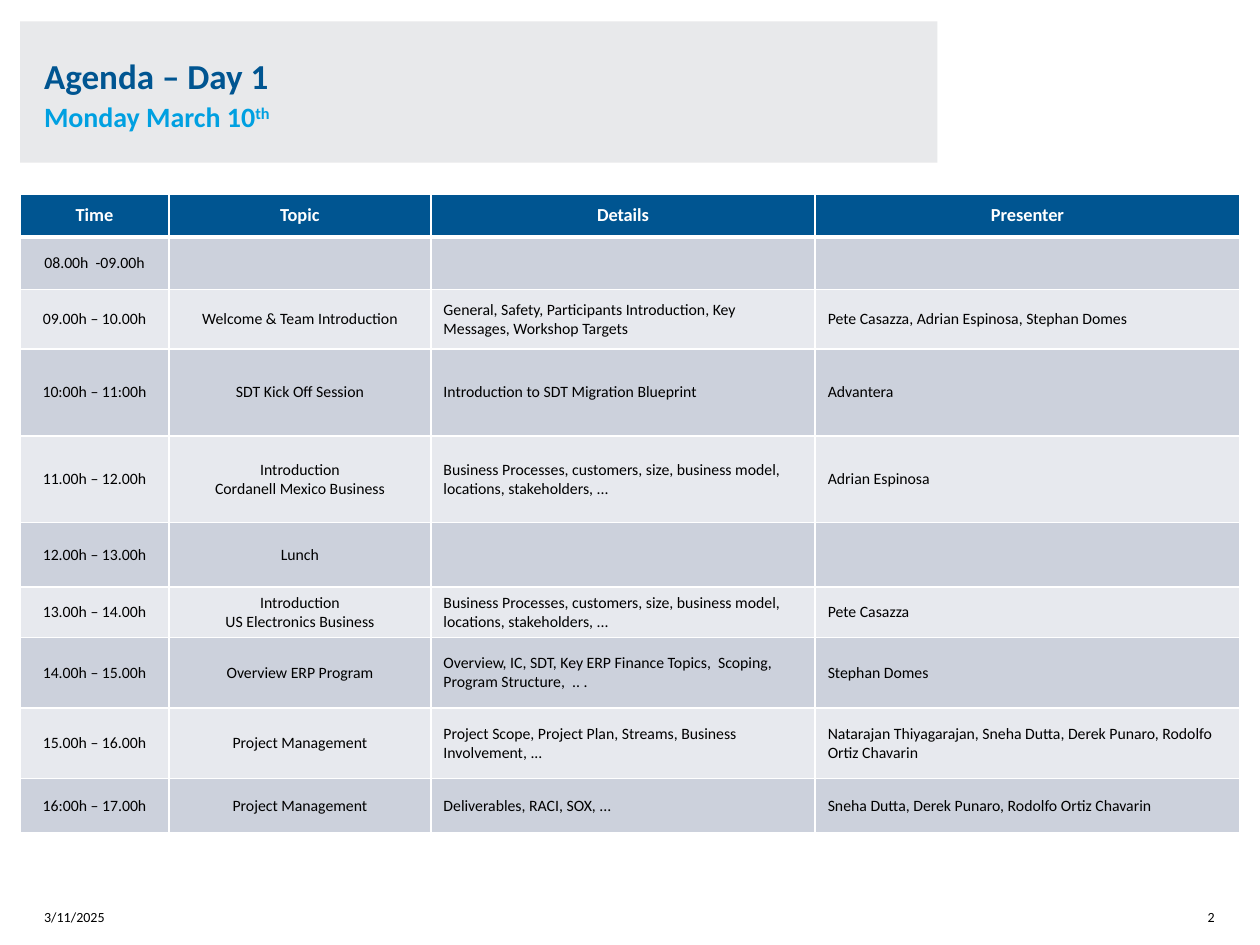
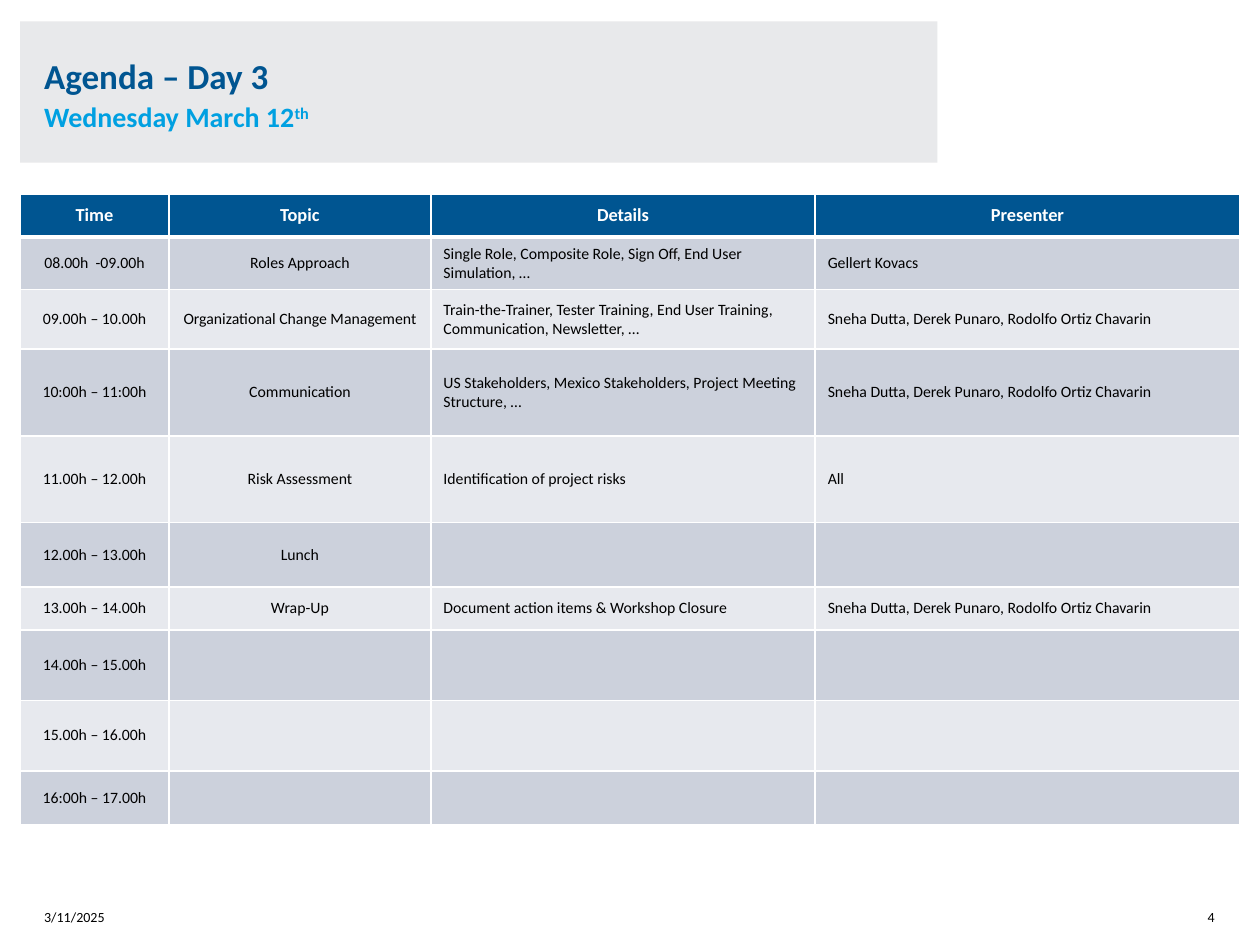
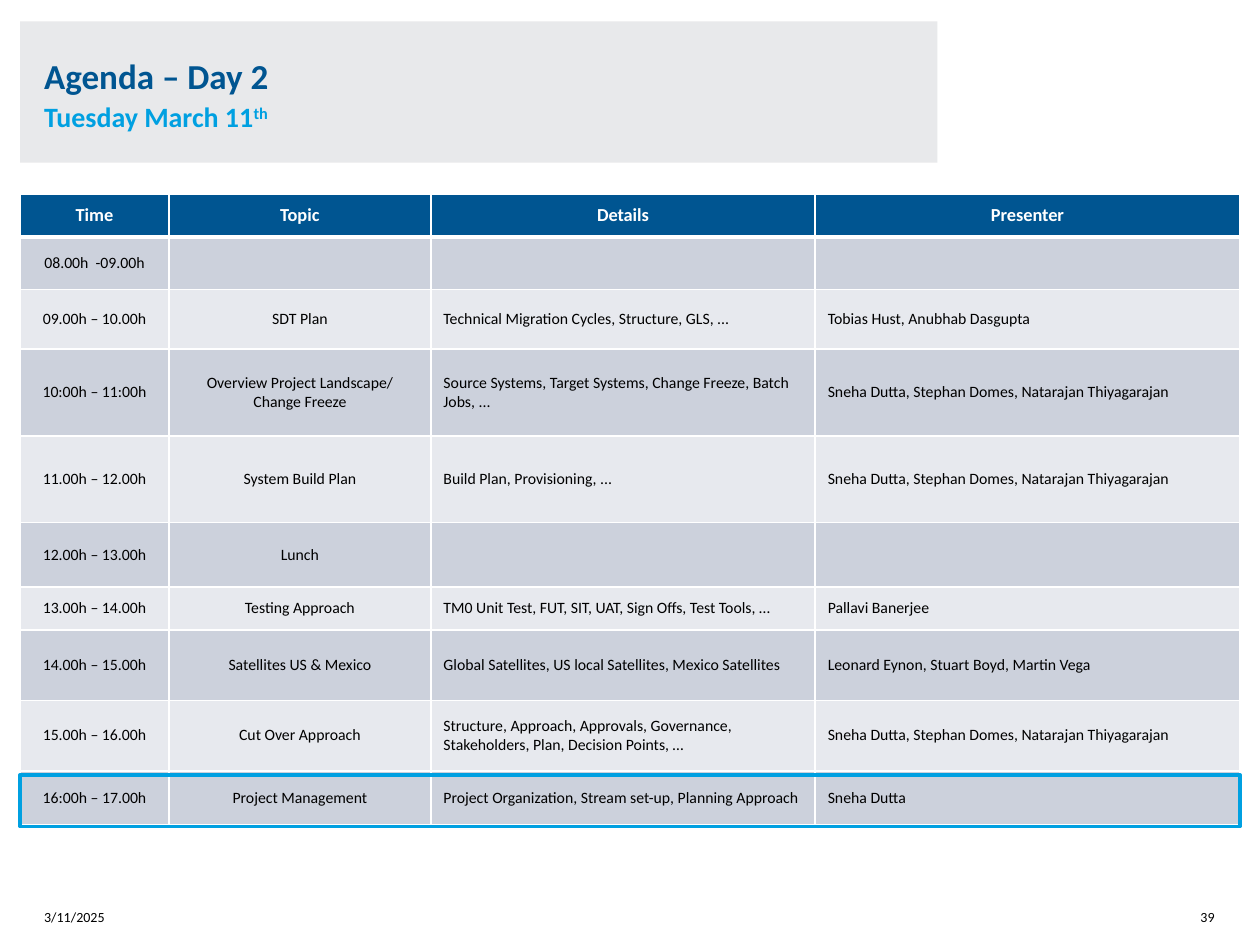
from pptx import Presentation
from pptx.dml.color import RGBColor
from pptx.enum.shapes import MSO_SHAPE as Shape
from pptx.enum.text import MSO_ANCHOR as Anchor, PP_ALIGN as Align
from pptx.oxml import parse_xml
from pptx.oxml.ns import nsdecls
from pptx.util import Inches, Pt

NAVY = RGBColor(0x00, 0x55, 0x91)
SKY = RGBColor(0x00, 0xA0, 0xE1)
MIST = RGBColor(0xE8, 0xE9, 0xEB)
DARK = RGBColor(0xCC, 0xD1, 0xDC)
PALE = RGBColor(0xE7, 0xE9, 0xEE)
WHITE = RGBColor(0xFF, 0xFF, 0xFF)
BLACK = RGBColor(0x00, 0x00, 0x00)

BAND = (0.16, 0.17, 7.28, 1.12)
GRID = (0.16, 1.54, 9.68, 5.02)
DATE = (0.35, 7.06, 0.79, 0.28)
PAGE = (9.25, 7.06, 0.39, 0.28)
MARK = (0.16, 6.15, 9.68, 0.41)

TITLE = {"size": Pt(20), "bold": True, "color": NAVY}
SUB = {"size": Pt(16), "bold": True, "color": SKY}
HEAD = {"size": Pt(10.5), "bold": True, "color": WHITE}
BODY = {"size": Pt(9), "bold": False, "color": BLACK}
FOOT = {"size": Pt(8), "bold": False, "color": BLACK}

COLS = (1.18, 2.08, 3.05, 3.37)
ROWS = (0.34, 0.42, 0.47, 0.69, 0.69, 0.51, 0.34, 0.56, 0.56, 0.43)
HEADS = ("Time", "Topic", "Details", "Presenter")
TIMES = ("08.00h  -09.00h", "09.00h – 10.00h", "10:00h – 11:00h",
         "11.00h – 12.00h", "12.00h – 13.00h", "13.00h – 14.00h",
         "14.00h – 15.00h", "15.00h – 16.00h", "16:00h – 17.00h")
NONE = ("", "", "")
LUNCH = ("Lunch", "", "")
FIRM = ("Business Processes, customers, size, business model, "
        "locations, stakeholders, ...")
CORE = "Sneha Dutta, Derek Punaro, Rodolfo Ortiz Chavarin"
TECH = "Sneha Dutta, Stephan Domes, Natarajan Thiyagarajan"

DAYS = (
    {"title": "Agenda – Day 1", "date": "Monday March 10", "page": "2", "mark": False,
     "plan": (
         NONE,
         ("Welcome & Team Introduction",
          "General, Safety, Participants Introduction, Key Messages, Workshop Targets",
          "Pete Casazza, Adrian Espinosa, Stephan Domes"),
         ("SDT Kick Off Session", "Introduction to SDT Migration Blueprint", "Advantera"),
         ("Introduction\nCordanell Mexico Business", FIRM, "Adrian Espinosa"),
         LUNCH,
         ("Introduction\nUS Electronics Business", FIRM, "Pete Casazza"),
         ("Overview ERP Program",
          "Overview, IC, SDT, Key ERP Finance Topics,  Scoping, Program Structure,  .. .",
          "Stephan Domes"),
         ("Project Management",
          "Project Scope, Project Plan, Streams, Business Involvement, ...",
          "Natarajan Thiyagarajan, Sneha Dutta, Derek Punaro, Rodolfo Ortiz Chavarin"),
         ("Project Management", "Deliverables, RACI, SOX, ...", CORE))},
    {"title": "Agenda – Day 3", "date": "Wednesday March 12", "page": "4", "mark": False,
     "plan": (
         ("Roles Approach",
          "Single Role, Composite Role, Sign Off, End User Simulation, …",
          "Gellert Kovacs"),
         ("Organizational Change Management",
          "Train-the-Trainer, Tester Training, End User Training, "
          "Communication, Newsletter, …", CORE),
         ("Communication",
          "US Stakeholders, Mexico Stakeholders, Project Meeting Structure, …", CORE),
         ("Risk Assessment", "Identification of project risks", "All"),
         LUNCH,
         ("Wrap-Up", "Document action items & Workshop Closure", CORE),
         NONE, NONE, NONE)},
    {"title": "Agenda – Day 2", "date": "Tuesday March 11", "page": "39", "mark": True,
     "plan": (
         NONE,
         ("SDT Plan", "Technical Migration Cycles, Structure, GLS, ...",
          "Tobias Hust, Anubhab Dasgupta"),
         ("Overview Project Landscape/ Change Freeze",
          "Source Systems, Target Systems, Change Freeze, Batch Jobs, ...", TECH),
         ("System Build Plan", "Build Plan, Provisioning, ...", TECH),
         LUNCH,
         ("Testing Approach", "TM0 Unit Test, FUT, SIT, UAT, Sign Offs, Test Tools, …",
          "Pallavi Banerjee"),
         ("Satellites US & Mexico",
          "Global Satellites, US local Satellites, Mexico Satellites",
          "Leonard Eynon, Stuart Boyd, Martin Vega"),
         ("Cut Over Approach",
          "Structure, Approach, Approvals, Governance, Stakeholders, Plan, "
          "Decision Points, …", TECH),
         ("Project Management", "Project Organization, Stream set-up, Planning Approach",
          "Sneha Dutta"))},
)


def place(box):
    """Turn a box in inches into lengths."""
    return [Inches(n) for n in box]


def style(run, look):
    """Apply a dict of font values to a run."""
    run.font.name = "Calibri"
    for key, val in look.items():
        if key == "color":
            run.font.color.rgb = val
        else:
            setattr(run.font, key, val)


def write(para, text, look):
    """Add a styled run to a paragraph."""
    run = para.add_run()
    run.text = text
    style(run, look)
    return run


def setup(frame, anchor, side=0):
    """Set wrap, anchor and margins of a text frame."""
    form = {"word_wrap": True, "vertical_anchor": anchor,
            "margin_left": Inches(side), "margin_right": Inches(side),
            "margin_top": 0, "margin_bottom": 0}
    for key, val in form.items():
        setattr(frame, key, val)


def add_band(slide, box, day):
    """Draw the title band with its two lines."""
    band = slide.shapes.add_shape(Shape.RECTANGLE, *place(box))
    band.shadow.inherit = False
    band.fill.solid()
    band.fill.fore_color.rgb = MIST
    band.line.fill.background()
    setup(band.text_frame, Anchor.MIDDLE, 0.19)
    para = band.text_frame.paragraphs[0]
    para.alignment = Align.LEFT
    para.line_spacing = 1.1
    write(para, day["title"], TITLE)
    para.add_line_break()
    write(para, day["date"], SUB)
    tail = write(para, "th", SUB)
    tail.font._element.set("baseline", "30000")


def add_foot(slide, box, text, align):
    """Write one footer text."""
    frame = slide.shapes.add_textbox(*place(box)).text_frame
    setup(frame, Anchor.BOTTOM)
    para = frame.paragraphs[0]
    para.alignment = align
    write(para, text, FOOT)


def add_edges(cell, top, base):
    """Give a cell white borders with the given top and base widths."""
    for side, wide in (("L", 1), ("R", 1), ("T", top), ("B", base)):
        cell._tc.get_or_add_tcPr().append(parse_xml(
            f'<a:ln{side} {nsdecls("a")} w="{Pt(wide)}"><a:solidFill>'
            f'<a:srgbClr val="{WHITE}"/></a:solidFill></a:ln{side}>'))


def fill_cell(cell, text, row, col):
    """Write and colour one agenda cell."""
    add_edges(cell, 3 if row == 1 else 1, 3 if row == 0 else 1)
    cell.fill.solid()
    cell.fill.fore_color.rgb = NAVY if row == 0 else DARK if row % 2 else PALE
    cell.vertical_anchor = Anchor.MIDDLE
    cell.text = text
    for para in cell.text_frame.paragraphs:
        para.alignment = Align.CENTER if row == 0 or col < 2 else Align.LEFT
        for run in para.runs:
            style(run, BODY if row else HEAD)


def add_grid(slide, box, plan):
    """Build the agenda table."""
    lines = [HEADS] + [(time, *rest) for time, rest in zip(TIMES, plan)]
    table = slide.shapes.add_table(len(ROWS), len(COLS), *place(box)).table
    for col, wide in zip(table.columns, COLS):
        col.width = Inches(wide)
    for row, high in zip(table.rows, ROWS):
        row.height = Inches(high)
    for r, line in enumerate(lines):
        for c, text in enumerate(line):
            fill_cell(table.cell(r, c), text, r, c)


def add_mark(slide, box):
    """Outline the row that is up next."""
    mark = slide.shapes.add_shape(Shape.RECTANGLE, *place(box))
    mark.shadow.inherit = False
    mark.fill.background()
    mark.line.color.rgb = SKY
    mark.line.width = Pt(2.25)


def add_day(deck, day):
    """Build the agenda slide of one day."""
    slide = deck.slides.add_slide(deck.slide_layouts[6])
    add_band(slide, BAND, day)
    add_foot(slide, PAGE, day["page"], Align.RIGHT)
    add_foot(slide, DATE, "3/11/2025", Align.LEFT)
    add_grid(slide, GRID, day["plan"])
    if day["mark"]:
        add_mark(slide, MARK)


def main():
    """Build and save the deck."""
    deck = Presentation()
    deck.slide_width, deck.slide_height = Inches(10), Inches(7.5)
    for day in DAYS:
        add_day(deck, day)
    deck.save("out.pptx")


if __name__ == "__main__":
    main()
